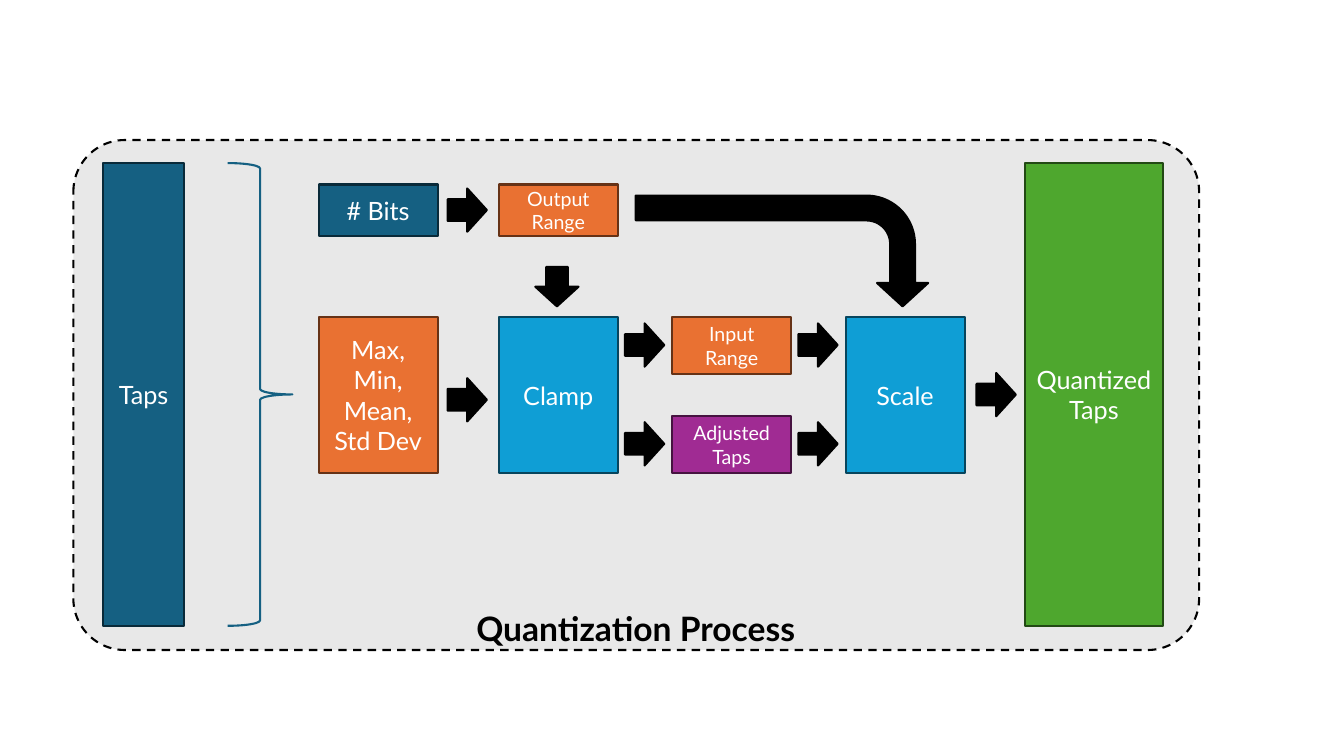
"""Build the quantization process slide."""
from pptx import Presentation
from pptx import util as u
from pptx.dml.color import RGBColor
from pptx.enum import dml, shapes, text

HUES = {
    "white": "FFFFFF", "black": "000000", "panel": "E8E8E8",
    "navy": "156082", "navy_edge": "092A39",
    "orange": "E97132", "orange_edge": "663216",
    "blue": "0F9ED5", "blue_edge": "07455D",
    "purple": "A02B93", "purple_edge": "461340",
    "green": "4EA72E", "green_edge": "224914",
}
KIND = shapes.MSO_SHAPE
WIDE = 3
TALL = 3.91
SMALL = 1.42
TOP, MID, LOW = 4.65, 8, 10.49
STATS, CLAMP, RANGE, SCALE = 8.03, 12.57, 16.94, 21.31
SIDE = (4.11, 11.66)


def hue(name):
    """Return the named colour."""
    return RGBColor.from_string(HUES[name])


def add_form(group, kind, spot, fill, edge):
    """Add a preset shape with a flat fill and outline."""
    form = group.shapes.add_shape(kind, *map(u.Cm, spot))
    form.shadow.inherit = False
    if fill:
        form.fill.solid()
        form.fill.fore_color.rgb = hue(fill)
    else:
        form.fill.background()
    form.line.color.rgb = hue(edge)
    form.line.width = u.Pt(1.5)
    return form


def write(form, lines, size, color, bold=False):
    """Write centred lines into a shape."""
    frame = form.text_frame
    frame.word_wrap = True
    for i, line in enumerate(lines):
        para = frame.add_paragraph() if i else frame.paragraphs[0]
        para.alignment = text.PP_ALIGN.CENTER
        run = para.add_run()
        run.text = line
        run.font.name = "Lato"
        run.font.size = u.Pt(size)
        run.font.bold = bold
        run.font.color.rgb = hue(color)


def add_box(group, spot, tint, lines, size=18):
    """Add a labelled rectangle."""
    box = add_form(group, KIND.RECTANGLE, spot, tint, tint + "_edge")
    box.text_frame.vertical_anchor = text.MSO_ANCHOR.MIDDLE
    write(box, lines, size, "white")


def add_arrow(group, left, top, turn=0):
    """Add a short block arrow."""
    arrow = add_form(group, KIND.RIGHT_ARROW, (left, top, 0.99, 1.09), "black", "black")
    arrow.rotation = turn


def add_bend(group):
    """Add the bent arrow from the output range to the scale step."""
    bend = add_form(group, KIND.BENT_ARROW, (18.31, 2.64, 2.79, 7.37), "black", "black")
    bend.rotation = 90
    for i, value in enumerate((0.224, 0.231, 0.211, 0.438)):
        bend.adjustments[i] = value


def add_panel(group):
    """Add the dashed background panel."""
    panel = add_form(group, KIND.ROUNDED_RECTANGLE, (1.85, 3.53, 28.37, 12.85), "panel", "black")
    panel.adjustments[0] = 0.101
    panel.line.dash_style = dml.MSO_LINE.DASH


def add_title(group):
    """Add the panel caption."""
    title = group.shapes.add_textbox(*map(u.Cm, (10.24, 15.19, 11.56, 1.27)))
    write(title, ["Quantization Process"], 24, "black", True)


def main():
    """Draw and save the slide."""
    deck = Presentation()
    deck.slide_width, deck.slide_height = u.Cm(33.87), u.Cm(19.05)
    slide = deck.slides.add_slide(deck.slide_layouts[6])
    group = slide.shapes.add_group_shape()
    add_panel(group)
    side, height = SIDE
    add_form(group, KIND.RIGHT_BRACE, (5.74, side, 1.63, height), None, "navy")
    boxes = [
        ((2.59, side, 2.06, height), "navy", ["Taps"]),
        ((STATS, MID, WIDE, TALL), "orange", ["Max, Min,", "Mean,", "Std Dev"]),
        ((STATS, TOP, WIDE, 1.3), "navy", ["# Bits"]),
        ((CLAMP, MID, WIDE, TALL), "blue", ["Clamp"]),
        ((CLAMP, TOP, WIDE, 1.3), "orange", ["Output Range"], 14),
        ((RANGE, MID, WIDE, SMALL), "orange", ["Input Range"], 14),
        ((RANGE, LOW, WIDE, SMALL), "purple", ["Adjusted Taps"], 14),
        ((SCALE, MID, WIDE, TALL), "blue", ["Scale"]),
        ((25.83, side, 3.48, height), "green", ["Quantized Taps"]),
    ]
    for box in boxes:
        add_box(group, *box)
    for left in (15.75, 20.12):
        for top in (MID, LOW):
            add_arrow(group, left, top + 0.15)
    for spot in ((11.28, 4.75), (11.28, 9.53), (24.61, 9.4), (13.54, 6.68, 90)):
        add_arrow(group, *spot)
    add_bend(group)
    add_title(group)
    deck.save("out.pptx")


if __name__ == "__main__":
    main()
